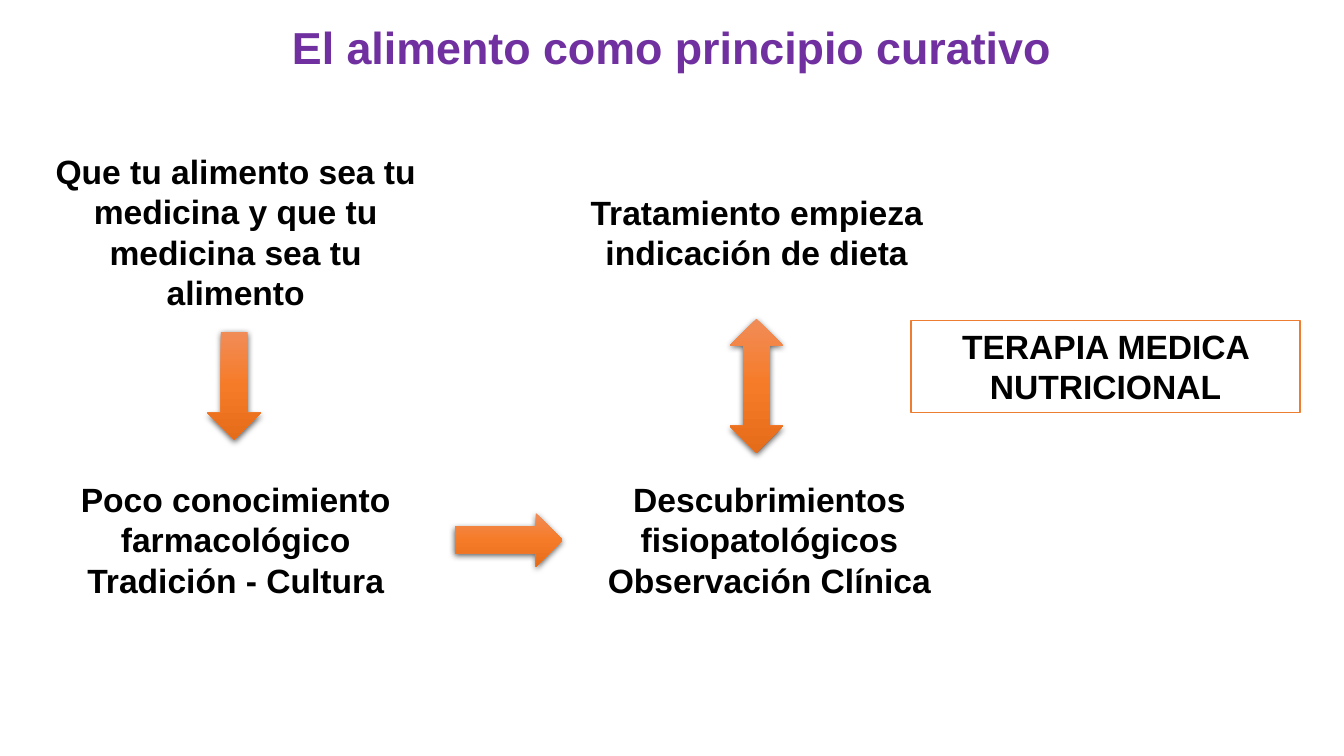
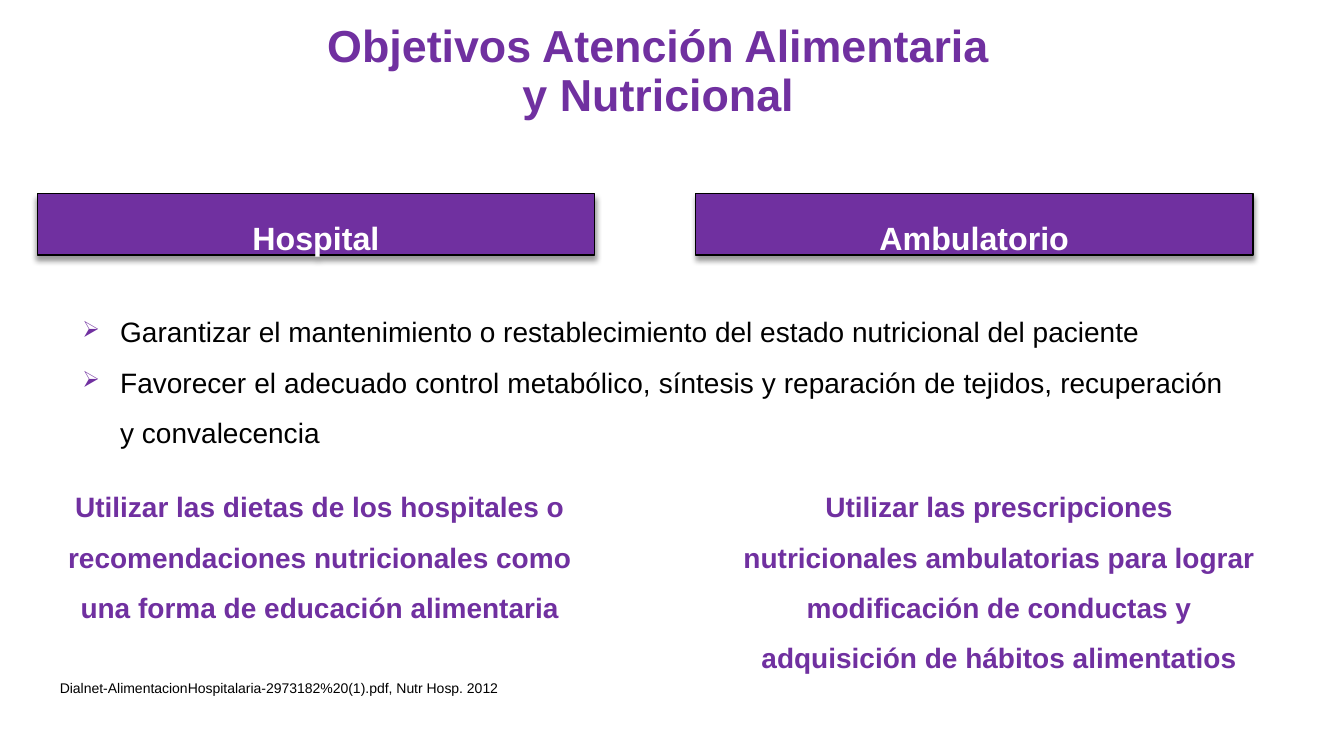
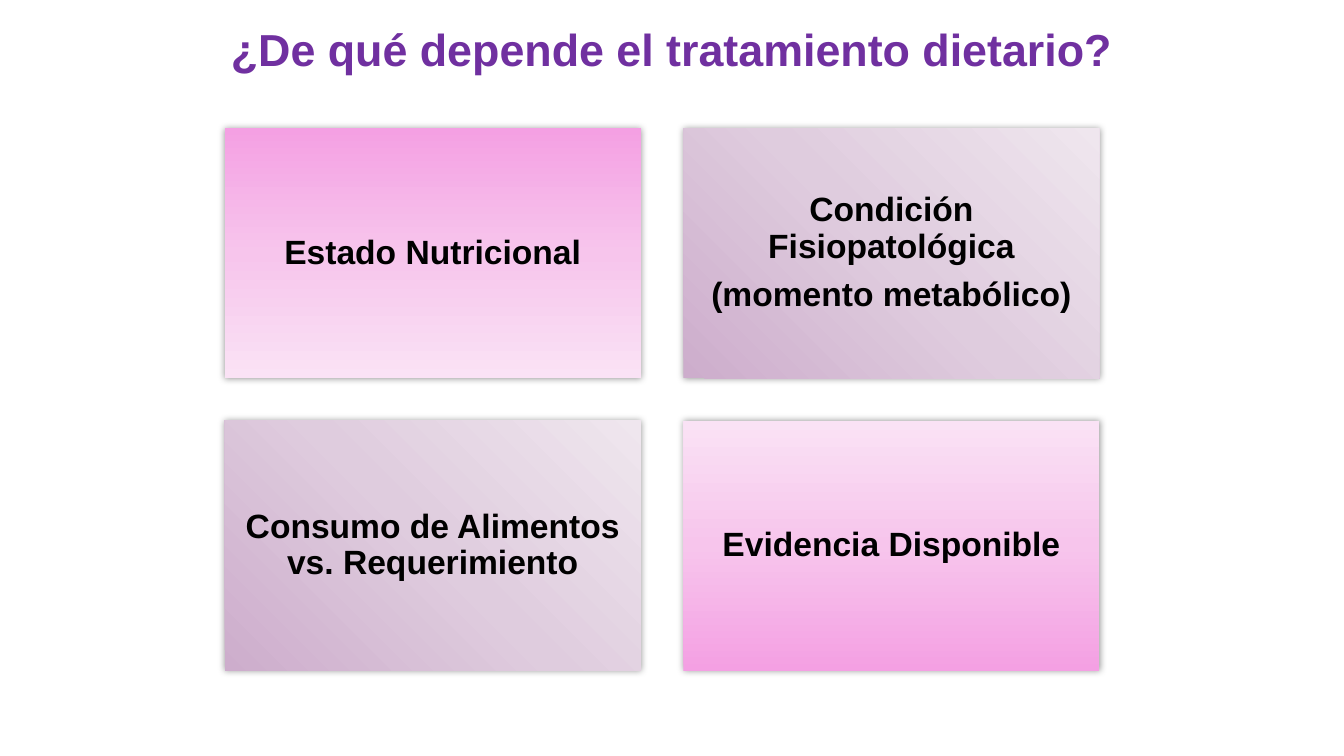
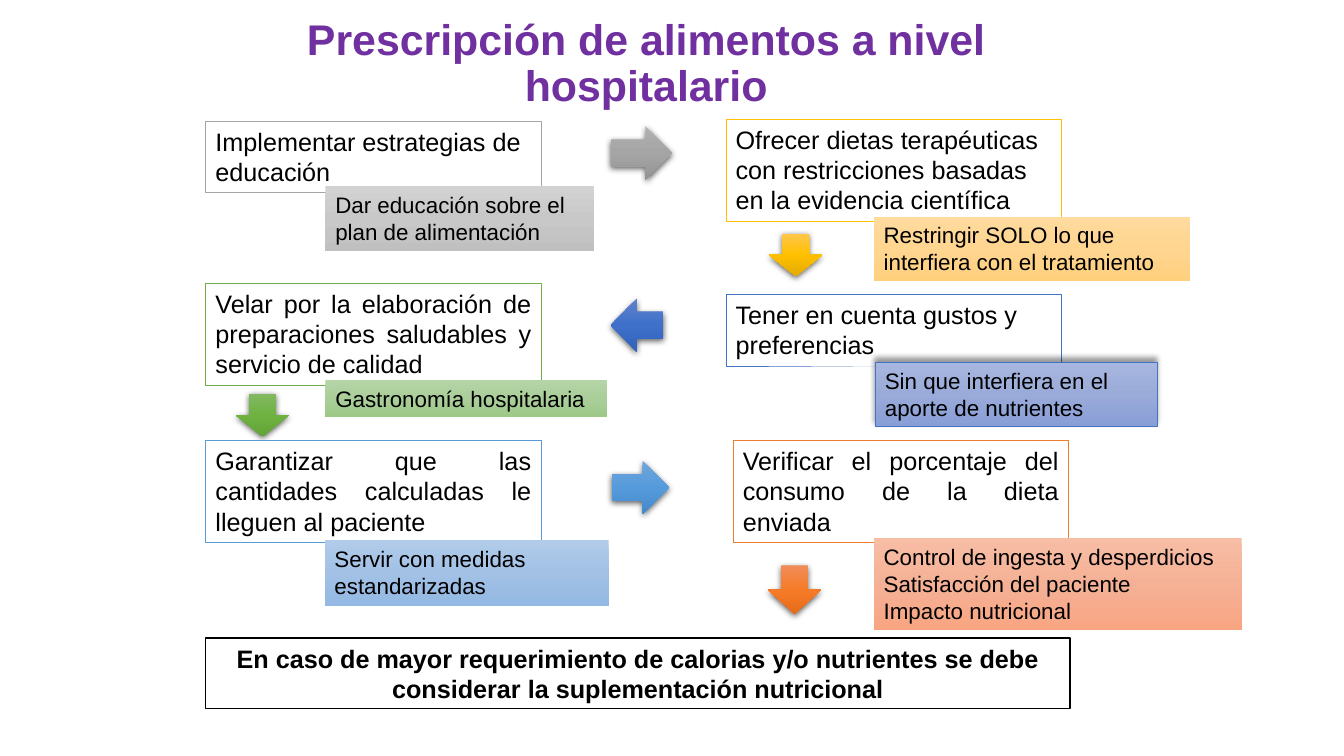
import pptx
import pptx.util
import pptx.dml.color
import pptx.enum.shapes
import pptx.enum.text
import pptx.oxml
import pptx.oxml.ns
import copy
from pptx.util import Cm

ALIGN = pptx.enum.text.PP_ALIGN
ANCHOR = pptx.enum.text.MSO_ANCHOR
SHAPE = pptx.enum.shapes.MSO_SHAPE

FONT = "Arial"
PURPLE = "7030A0"
BLACK = "000000"
WHITE = "FFFFFF"

LINES = {
    "gray": "A5A5A5",
    "gold": "FFC000",
    "blue": "4472C4",
    "green": "70AD47",
    "sky": "5B9BD5",
    "orange": "ED7D31",
}
STRONG = {
    "gray": ("AFAFAF", "A5A5A5", "939393"),
    "gold": ("FFC64B", "FFC000", "E3AB00"),
    "blue": ("6183CB", "3E70CA", "3062BB"),
    "green": ("81B861", "6FB242", "62A336"),
    "sky": ("71A6DB", "559BDB", "448ACA"),
    "orange": ("F18C57", "F67B28", "E56C19"),
}
PALE = {
    "gray": ("D2D2D2", "C8C8C8", "C0C0C0"),
    "gold": ("FFDB9E", "FFD590", "FFD07C"),
    "blue": ("A8B7DF", "9AABD9", "889ED7"),
    "green": ("B5D5A7", "AACE9A", "9CC987"),
    "sky": ("B1CBE9", "A3C1E5", "93B9E4"),
    "orange": ("F7BDA5", "F5B196", "F8A582"),
}
PINK = ("F4A0E3", "F7C5EC", "FAE2F5")
MAUVE = ("CDADCC", "DFCCDE", "EFE6EE")

ARROW_SHADOW = (63, 4.5, 1.5, 90)
BAND_SHADOW = (40, 4, 3, 90)
NOTE_SHADOW = (40, 4, 3, 270)
CARD_SHADOW = (40, 5, 0, 0)


def rgb(value):
    return pptx.dml.color.RGBColor.from_string(value)


class Deck:
    def __init__(self):
        self.presentation = pptx.Presentation()
        self.presentation.slide_width = Cm(33.87)
        self.presentation.slide_height = Cm(19.05)
        self.slide = None

    def new_slide(self, title, box, size=32):
        layout = self.presentation.slide_layouts[5]
        self.slide = self.presentation.slides.add_slide(layout)
        placeholder = self.slide.shapes.title
        placeholder.left, placeholder.top, placeholder.width, placeholder.height = map(Cm, box)
        self.fill_text(placeholder, title, size, PURPLE, True, ALIGN.CENTER, 0.9, ANCHOR.MIDDLE)

    def fill_text(self, shape, text, size, color=BLACK, bold=False, align=ALIGN.LEFT,
                  spacing=1.0, anchor=ANCHOR.TOP, after=0):
        frame = shape.text_frame
        frame.text = text
        frame.word_wrap = True
        frame.auto_size = pptx.enum.text.MSO_AUTO_SIZE.NONE
        frame.vertical_anchor = anchor
        for paragraph in frame.paragraphs:
            paragraph.alignment = align
            paragraph.line_spacing = spacing
            paragraph.space_before = pptx.util.Pt(0)
            paragraph.space_after = pptx.util.Pt(after)
            for run in paragraph.runs:
                run.font.name = FONT
                run.font.size = pptx.util.Pt(size)
                run.font.bold = bold
                run.font.color.rgb = rgb(color)

    def text(self, box, text, size, **style):
        shape = self.slide.shapes.add_textbox(*map(Cm, box))
        self.fill_text(shape, text, size, **style)
        return shape

    def bullets(self, box, text, size, mark, color):
        shape = self.text(box, text, size, align=ALIGN.JUSTIFY, spacing=1.5)
        namespace = pptx.oxml.ns.nsdecls("a")
        for paragraph in shape.text_frame.paragraphs:
            properties = paragraph._p.get_or_add_pPr()
            properties.set("marL", str(Cm(0.95)))
            properties.set("indent", str(-Cm(0.95)))
            for xml in (
                f'<a:buClr {namespace}><a:srgbClr val="{color}"/></a:buClr>',
                f'<a:buSzPct {namespace} val="80000"/>',
                f'<a:buChar {namespace} char="{mark}"/>',
            ):
                properties.append(pptx.oxml.parse_xml(xml))

    def shape(self, box, fill=WHITE, kind=SHAPE.RECTANGLE, line=None, weight=1.0,
              shadow=None, angle=270):
        shape = self.slide.shapes.add_shape(kind, *map(Cm, box))
        if isinstance(fill, str):
            shape.fill.solid()
            shape.fill.fore_color.rgb = rgb(fill)
        else:
            self.gradient(shape, fill, angle)
        if line:
            shape.line.color.rgb = rgb(line)
            shape.line.width = pptx.util.Pt(weight)
        else:
            shape.line.fill.background()
        shape.shadow.inherit = False
        if shadow:
            self.shadow(shape, *shadow)
        return shape

    def gradient(self, shape, colors, angle):
        shape.fill.gradient()
        shape.fill.gradient_angle = angle
        stop_list = shape._element.spPr.find(".//" + pptx.oxml.ns.qn("a:gsLst"))
        stop_list.append(copy.deepcopy(stop_list[0]))
        for stop, color, position in zip(shape.fill.gradient_stops, colors, (0, 0.5, 1)):
            stop.color.rgb = rgb(color)
            stop.position = position

    def shadow(self, shape, opacity, blur, distance, direction):
        effects = shape._element.spPr.find(pptx.oxml.ns.qn("a:effectLst"))
        effects.append(pptx.oxml.parse_xml(
            f'<a:outerShdw {pptx.oxml.ns.nsdecls("a")} blurRad="{pptx.util.Pt(blur)}" '
            f'dist="{pptx.util.Pt(distance)}" dir="{direction * 60000}" rotWithShape="0">'
            f'<a:srgbClr val="{BLACK}"><a:alpha val="{opacity * 1000}"/></a:srgbClr>'
            '</a:outerShdw>'))

    def arrow(self, kind, box, color):
        self.shape(box, STRONG[color], kind, shadow=ARROW_SHADOW)


def healing_food(deck):
    deck.new_slide("El alimento como principio curativo", (0, 0, 33.87, 2.54))
    for box, text in (
        ((14.17, 4.7, 9.8, 2.31), "Tratamiento empieza indicación de dieta"),
        ((14.17, 11.94, 10.44, 3.33), "Descubrimientos fisiopatológicos\nObservación Clínica"),
        ((1.04, 3.68, 9.8, 4.37),
         "Que tu alimento sea tu medicina y que tu medicina sea tu alimento"),
        ((1.04, 11.94, 9.8, 3.33), "Poco conocimiento farmacológico\nTradición - Cultura"),
    ):
        deck.text(box, text, 24, bold=True, align=ALIGN.CENTER)
    for kind, box in (
        (SHAPE.RIGHT_ARROW, (11.46, 12.93, 2.72, 1.35)),
        (SHAPE.UP_DOWN_ARROW, (18.39, 8.03, 1.35, 3.38)),
        (SHAPE.DOWN_ARROW, (5.23, 8.36, 1.35, 2.72)),
    ):
        deck.arrow(kind, box, "orange")
    therapy = deck.shape((22.96, 8.08, 9.8, 2.31), line=LINES["orange"])
    deck.fill_text(therapy, "TERAPIA MEDICA NUTRICIONAL", 24, bold=True, align=ALIGN.CENTER)


def care_goals(deck):
    deck.new_slide("Objetivos Atención Alimentaria y Nutricional", (7.98, 0.28, 17.22, 3.1))
    deck.text((0, 17, 14.05, 0.69),
              "Dialnet-AlimentacionHospitalaria-2973182%20(1).pdf, Nutr Hosp. 2012",
              10, align=ALIGN.CENTER)
    deck.bullets(
        (1.83, 7.39, 29.26, 3.94),
        "Garantizar el mantenimiento o restablecimiento del estado nutricional del paciente\n"
        "Favorecer el adecuado control metabólico, síntesis y reparación de tejidos, "
        "recuperación y convalecencia",
        20, "➢", PURPLE)
    for band_left, heading, goal_left, goal_height, goal in (
        (0.94, "Hospital", 1.14, 3.94,
         "Utilizar las dietas de los hospitales o recomendaciones nutricionales como "
         "una forma de educación alimentaria"),
        (17.53, "Ambulatorio", 18.26, 5.23,
         "Utilizar las prescripciones nutricionales ambulatorias para lograr "
         "modificación de conductas y adquisición de hábitos alimentatios"),
    ):
        band = deck.shape((band_left, 4.88, 14.05, 1.55), PURPLE, line=BLACK, shadow=BAND_SHADOW)
        deck.fill_text(band, heading, 23, WHITE, True, ALIGN.CENTER, 1.5)
        goal_box = deck.shape((goal_left, 11.79, 13.84, goal_height))
        deck.fill_text(goal_box, goal, 20, PURPLE, True, ALIGN.CENTER, 1.5)


def diet_factors(deck):
    deck.new_slide("¿De qué depende el tratamiento dietario?", (0, 0.05, 33.87, 2.51))
    factors = (
        ("Estado Nutricional", PINK, 270),
        ("Condición Fisiopatológica\n(momento metabólico)", MAUVE, 45),
        ("Consumo de Alimentos vs. Requerimiento", MAUVE, 45),
        ("Evidencia Disponible", PINK, 90),
    )
    for index, (text, colors, angle) in enumerate(factors):
        row, column = divmod(index, 2)
        card = deck.shape((5.66 + column * 11.56, 3.23 + row * 7.37, 10.49, 6.3),
                          colors, shadow=CARD_SHADOW, angle=angle)
        card.text_frame.margin_top = card.text_frame.margin_bottom = Cm(0.25)
        deck.fill_text(card, text, 24, BLACK, True, ALIGN.CENTER, 0.9, ANCHOR.MIDDLE, after=8.4)


def hospital_prescription(deck):
    deck.new_slide("Prescripción de alimentos a nivel hospitalario",
                   (7.14, 0.25, 18.29, 2.74), 30.6)
    steps = (
        ("gray", (5.18, 3.05, 8.46, 1.8), ALIGN.LEFT, "Implementar estrategias de educación",
         (8.2, 4.7, 6.78, 1.63), "Dar educación sobre el plan de alimentación",
         SHAPE.RIGHT_ARROW, (15.39, 3.18, 1.55, 1.35)),
        ("gold", (18.29, 3, 8.46, 2.57), ALIGN.LEFT,
         "Ofrecer dietas terapéuticas con restricciones basadas en la evidencia científica",
         (22.02, 5.46, 7.98, 1.63), "Restringir SOLO lo que interfiera con el tratamiento",
         SHAPE.DOWN_ARROW, (19.38, 5.89, 1.35, 1.07)),
        ("blue", (18.29, 7.42, 8.46, 1.8), ALIGN.LEFT, "Tener en cuenta gustos y preferencias",
         (22.05, 9.12, 7.11, 1.63), "Sin que interfiera en el aporte de nutrientes",
         SHAPE.LEFT_ARROW, (15.39, 7.52, 1.32, 1.35)),
        ("green", (5.18, 7.14, 8.46, 2.57), ALIGN.JUSTIFY,
         "Velar por la elaboración de preparaciones saludables y servicio de calidad",
         (8.2, 9.58, 7.11, 0.94), "Gastronomía hospitalaria",
         SHAPE.DOWN_ARROW, (5.94, 9.93, 1.35, 1.07)),
        ("sky", (5.18, 11.1, 8.46, 2.57), ALIGN.JUSTIFY,
         "Garantizar que las cantidades calculadas le lleguen al paciente",
         (8.18, 13.61, 7.16, 1.65), "Servir con medidas estandarizadas",
         SHAPE.RIGHT_ARROW, (15.42, 11.61, 1.45, 1.35)),
        ("orange", (18.47, 11.1, 8.46, 2.57), ALIGN.JUSTIFY,
         "Verificar el porcentaje del consumo de la dieta enviada",
         (22.02, 13.56, 9.27, 2.31),
         "Control de ingesta y desperdicios\nSatisfacción del paciente\nImpacto nutricional",
         SHAPE.DOWN_ARROW, (19.35, 14.25, 1.35, 1.22)),
    )
    for color, step_box, align, step, note_box, note, arrow, arrow_box in steps:
        step_shape = deck.shape(step_box, line=LINES[color], weight=0.25)
        deck.fill_text(step_shape, step, 18, align=align)
        outline = {"line": LINES[color], "weight": 0.5, "shadow": NOTE_SHADOW}
        note_shape = deck.shape(note_box, PALE[color], **(outline if color == "blue" else {}))
        deck.fill_text(note_shape, note, 16)
        deck.arrow(arrow, arrow_box, color)
    conclusion = deck.shape((5.18, 16.08, 21.79, 1.78), line=BLACK)
    deck.fill_text(conclusion,
                   "En caso de mayor requerimiento de calorias y/o nutrientes se debe "
                   "considerar la suplementación nutricional",
                   18, bold=True, align=ALIGN.CENTER)


def main():
    deck = Deck()
    healing_food(deck)
    care_goals(deck)
    diet_factors(deck)
    hospital_prescription(deck)
    deck.presentation.save("out.pptx")


if __name__ == "__main__":
    main()
